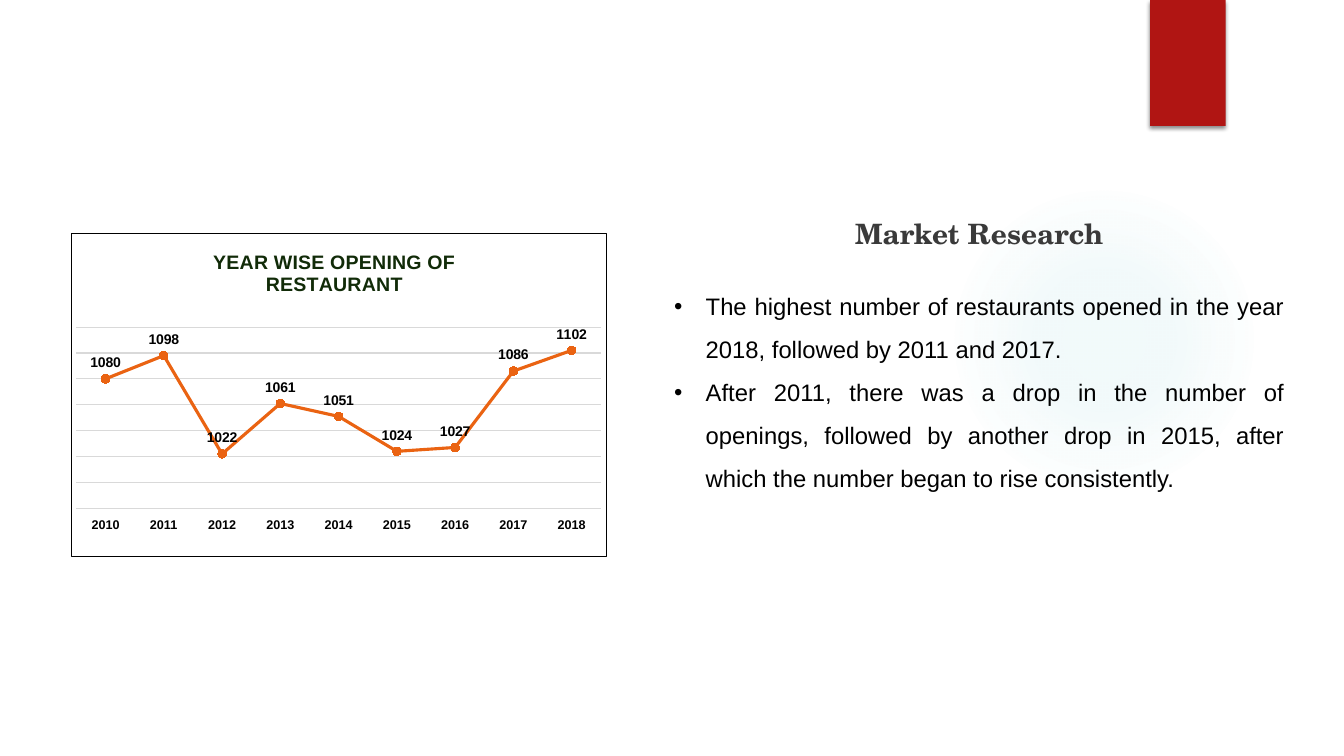
from lxml import etree
from pptx import Presentation
from pptx.chart.data import CategoryChartData
from pptx.dml.color import RGBColor
from pptx.enum.chart import XL_CHART_TYPE, XL_LABEL_POSITION, XL_MARKER_STYLE, XL_TICK_LABEL_POSITION, XL_TICK_MARK
from pptx.enum.shapes import MSO_SHAPE
from pptx.enum.text import MSO_ANCHOR, PP_ALIGN
from pptx.oxml import parse_xml
from pptx.oxml.ns import nsdecls, qn
from pptx.util import Pt

LINE_MARKERS = XL_CHART_TYPE.LINE_MARKERS
ABOVE = XL_LABEL_POSITION.ABOVE
CIRCLE = XL_MARKER_STYLE.CIRCLE
NO_LABELS = XL_TICK_LABEL_POSITION.NONE
LOW = XL_TICK_LABEL_POSITION.LOW
NO_TICKS = XL_TICK_MARK.NONE
OVAL, RECTANGLE = MSO_SHAPE.OVAL, MSO_SHAPE.RECTANGLE
MIDDLE = MSO_ANCHOR.MIDDLE
CENTER, JUSTIFY = PP_ALIGN.CENTER, PP_ALIGN.JUSTIFY

YEARS = [str(year) for year in range(2010, 2019)]
OPENINGS = [1080, 1098, 1022, 1061, 1051, 1024, 1027, 1086, 1102]
CHART_TITLE = ["YEAR WISE OPENING OF", "RESTAURANT"]
FINDINGS = [
    "The highest number of restaurants opened in the year 2018, followed by 2011 and 2017.",
    "After 2011, there was a drop in the number of openings, followed by another drop in 2015, "
    "after which the number began to rise consistently.",
]


def color(value):
    return RGBColor.from_string(value)


def apply(target, values):
    for name, value in values.items():
        setattr(target, name, value)


class SlideBuilder:
    black, title_green, heading_gray = "000000", "112B08", "3A3A3A"
    red, orange, grid_gray, white = "B01513", "EA6312", "D9D9D9", "FFFFFF"
    glow = "4CB9C3"
    body_font, heading_font = "Arial", "TeX Gyre Schola"

    def __init__(self, slide):
        self.slide = slide

    def set_font(self, font, size, shade, bold=False, name=body_font):
        apply(font, {"size": Pt(size), "bold": bold, "name": name})
        font.color.rgb = color(shade)

    def set_line(self, line, shade, width):
        line.color.rgb = color(shade)
        line.width = Pt(width)

    def shape(self, kind, left, top, width, height, fill):
        shape = self.slide.shapes.add_shape(kind, Pt(left), Pt(top), Pt(width), Pt(height))
        shape.shadow.inherit = False
        shape.line.fill.background()
        shape.fill.solid()
        shape.fill.fore_color.rgb = color(fill)
        return shape

    def glow_circle(self, left, top, size, stops):
        circle = self.shape(OVAL, left, top, size, size, self.glow)
        stop_xml = "".join(
            f'<a:gs pos="{place * 1000}"><a:srgbClr val="{self.glow}">'
            f'<a:alpha val="{alpha * 1000}"/></a:srgbClr></a:gs>'
            for place, alpha in stops)
        gradient = parse_xml(
            f'<a:gradFill {nsdecls("a")}><a:gsLst>{stop_xml}</a:gsLst><a:path path="circle">'
            '<a:fillToRect l="50000" t="50000" r="50000" b="50000"/></a:path></a:gradFill>')
        properties = circle.element.spPr
        properties.replace(properties.find(qn("a:solidFill")), gradient)

    def ribbon(self, left, top, width, height):
        ribbon = self.shape(RECTANGLE, left, top, width, height, self.red)
        effects = ribbon.element.spPr.find(qn("a:effectLst"))
        effects.append(parse_xml(
            f'<a:outerShdw {nsdecls("a")} blurRad="{Pt(3)}" dist="{Pt(2)}" dir="5400000" rotWithShape="0">'
            f'<a:srgbClr val="{self.black}"><a:alpha val="45000"/></a:srgbClr></a:outerShdw>'))

    def bullet(self, para, indent):
        properties = para._p.get_or_add_pPr()
        properties.set("marL", str(Pt(indent)))
        properties.set("indent", str(-Pt(indent)))
        bullet_color = etree.SubElement(properties, qn("a:buClr"))
        etree.SubElement(bullet_color, qn("a:srgbClr"), val=self.black)
        etree.SubElement(properties, qn("a:buFont"), typeface=self.body_font)
        etree.SubElement(properties, qn("a:buChar"), char="•")

    def text(self, left, top, width, height, heading, items):
        box = self.slide.shapes.add_textbox(Pt(left), Pt(top), Pt(width), Pt(height))
        frame = box.text_frame
        apply(frame, {"word_wrap": True, "vertical_anchor": MIDDLE, "margin_bottom": Pt(24)})
        para = frame.paragraphs[0]
        apply(para, {"text": heading, "alignment": CENTER, "space_after": Pt(20)})
        self.set_font(para.runs[0].font, 20, self.heading_gray, True, self.heading_font)
        for item in items:
            para = frame.add_paragraph()
            self.bullet(para, 22.5)
            apply(para, {"text": item, "alignment": JUSTIFY, "line_spacing": 1.5})
            self.set_font(para.runs[0].font, 17, self.black)

    def layout(self, **places):
        values = "".join(f'<c:{name} val="{value}"/>' for name, value in places.items())
        return parse_xml(f'<c:layout {nsdecls("c")}><c:manualLayout>{values}</c:manualLayout></c:layout>')

    def place(self, parent, layout, index):
        for old in parent.findall(qn("c:layout")):
            parent.remove(old)
        parent.insert(index, layout)

    def line_chart(self, left, top, width, height, title, categories, values):
        data = CategoryChartData()
        data.categories = categories
        data.add_series("Series 1", values)
        chart = self.slide.shapes.add_chart(
            LINE_MARKERS, Pt(left), Pt(top), Pt(width), Pt(height), data).chart
        chart.has_legend = False
        self.set_font(chart.font, 10, self.black)

        # Title
        frame = chart.chart_title.text_frame
        frame.text = "\n".join(title)
        for para in frame.paragraphs:
            para.alignment = CENTER
            self.set_font(para.runs[0].font, 14, self.title_green, True)
        self.place(chart.chart_title._element, self.layout(xMode="edge", yMode="edge", x=0.26, y=0.04), 1)

        # Plot area and frame
        plot_area = chart._chartSpace.chart.plotArea
        self.place(plot_area, self.layout(layoutTarget="inner", xMode="edge", yMode="edge",
                                          x=0.01, y=0.29, w=0.98, h=0.56), 0)
        chart_frame = parse_xml(
            f'<c:spPr {nsdecls("c", "a")}><a:solidFill><a:srgbClr val="{self.white}"/></a:solidFill>'
            f'<a:ln w="{Pt(0.75)}"><a:solidFill><a:srgbClr val="{self.black}"/></a:solidFill></a:ln></c:spPr>')
        chart._chartSpace.chart.addnext(chart_frame)

        # Axes
        years = chart.category_axis
        apply(years, {"major_tick_mark": NO_TICKS, "tick_label_position": LOW})
        years.format.line.fill.background()
        self.set_font(years.tick_labels.font, 9, self.black, True)
        scale = chart.value_axis
        apply(scale, {"minimum_scale": 980, "maximum_scale": 1120, "major_unit": 20,
                      "major_tick_mark": NO_TICKS, "tick_label_position": NO_LABELS})
        scale.format.line.fill.background()
        self.set_line(scale.major_gridlines.format.line, self.grid_gray, 0.75)

        # Series
        plot = chart.plots[0]
        plot.vary_by_categories = False
        series = plot.series[0]
        series.smooth = False
        self.set_line(series.format.line, self.orange, 2.25)
        apply(series.marker, {"style": CIRCLE, "size": 6})
        series.marker.format.fill.solid()
        series.marker.format.fill.fore_color.rgb = color(self.orange)
        self.set_line(series.marker.format.line, self.orange, 0.75)
        apply(series.data_labels, {"show_value": True, "position": ABOVE})
        self.set_font(series.data_labels.font, 10, self.black, True)


def main():
    deck = Presentation()
    apply(deck, {"slide_width": Pt(960), "slide_height": Pt(540)})
    page = SlideBuilder(deck.slides.add_slide(deck.slide_layouts[6]))

    # Backdrop
    page.glow_circle(677.5, 131.75, 221.75, [(0, 7), (36, 6), (69, 0), (100, 0)])
    page.ribbon(821.5, 0, 54, 90)

    # Findings
    page.text(474.5, 33.85, 450, 458.65, "Market Research", FINDINGS)

    # Openings per year
    page.line_chart(50.4, 166.3, 383, 231.85, CHART_TITLE, YEARS, OPENINGS)

    deck.save("out.pptx")


if __name__ == "__main__":
    main()
